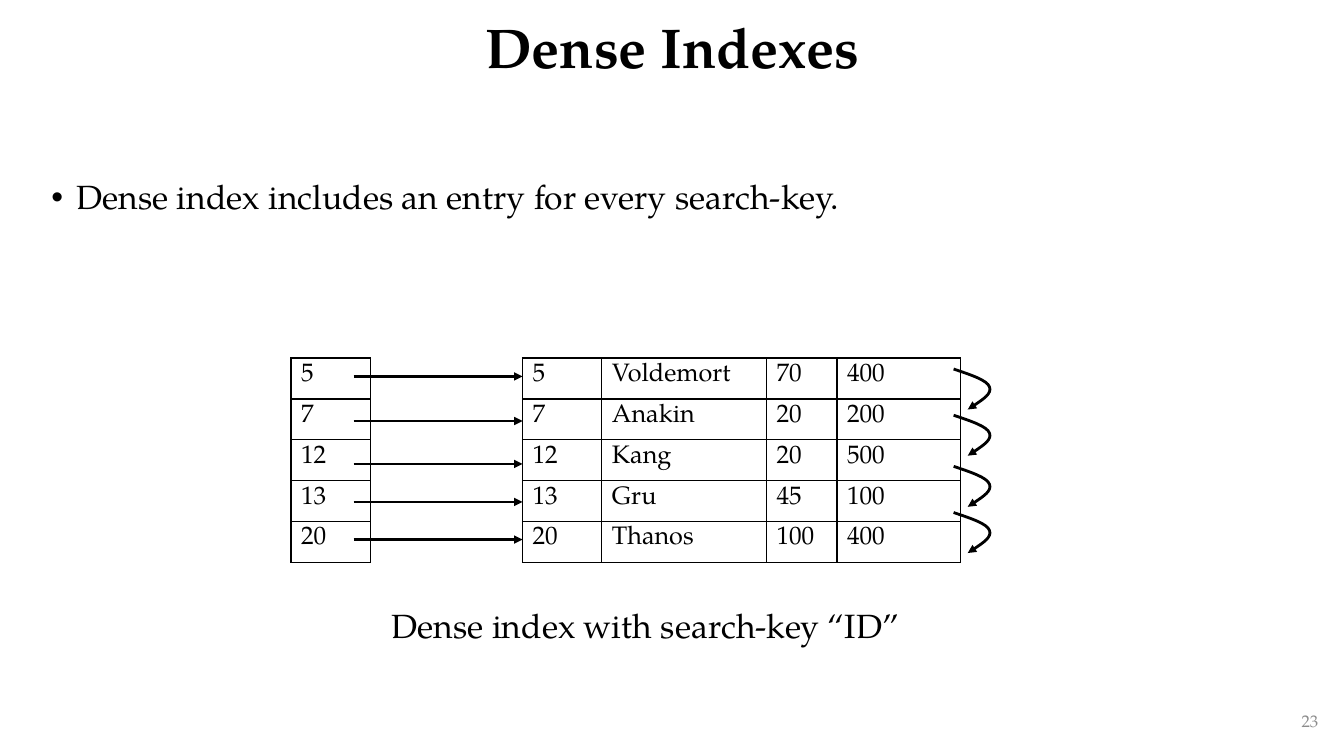
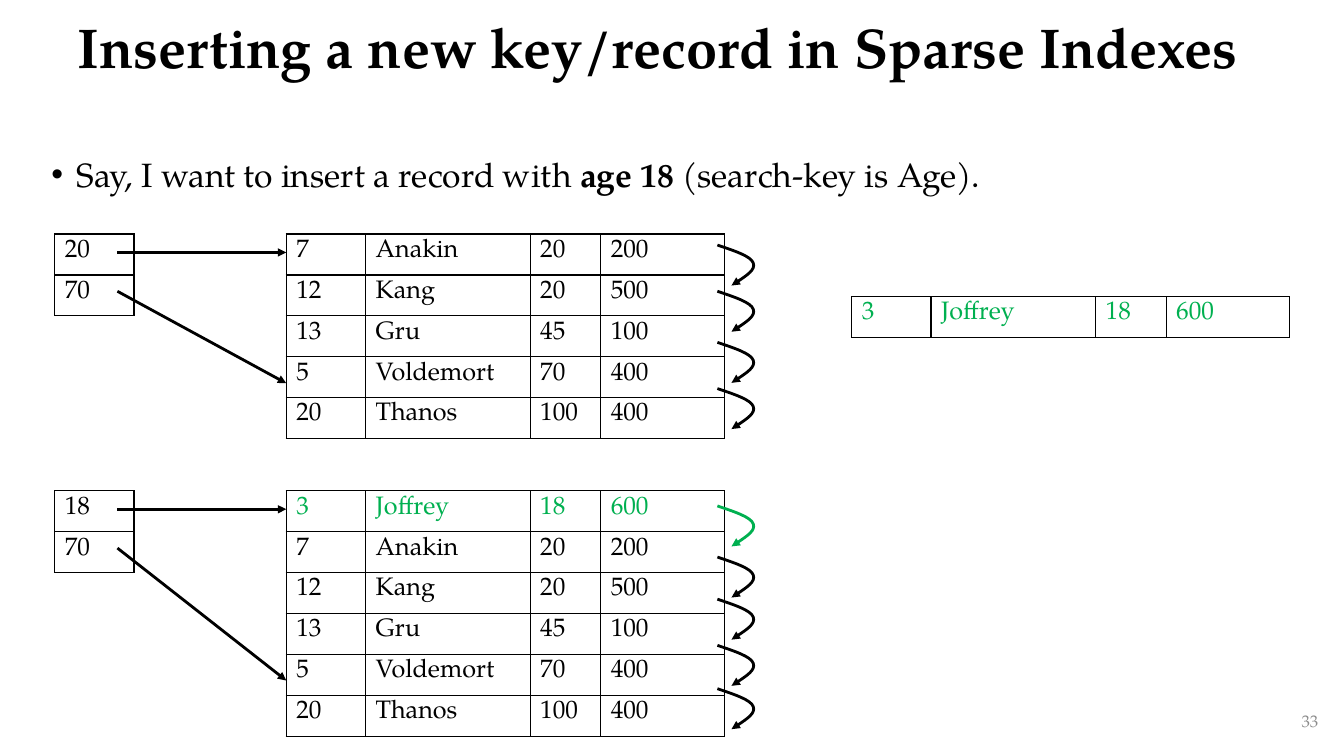
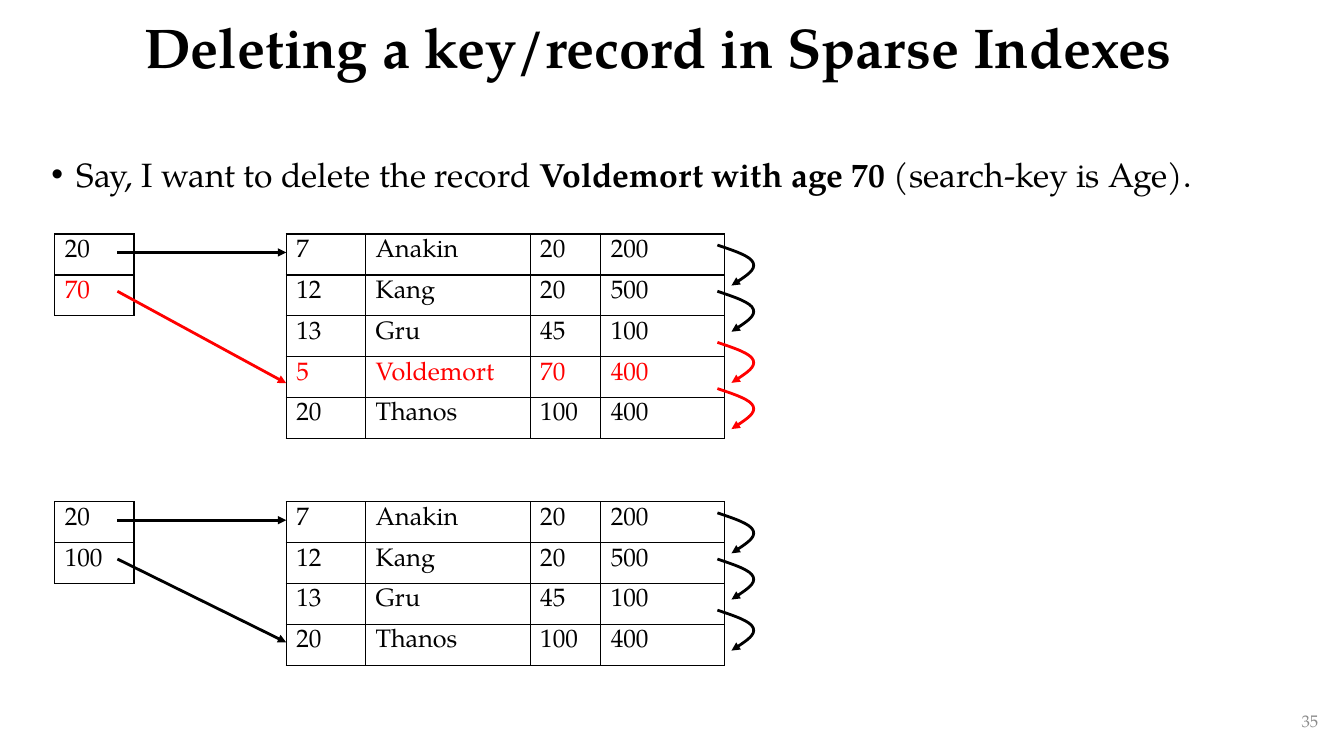
from lxml import etree
from pptx import Presentation
from pptx.dml.color import RGBColor
from pptx.enum.shapes import MSO_CONNECTOR
from pptx.enum.text import MSO_ANCHOR, PP_ALIGN
from pptx.oxml.ns import qn
from pptx.util import Inches, Pt

LEFT, MID, RIGHT, FULL = PP_ALIGN.LEFT, PP_ALIGN.CENTER, PP_ALIGN.RIGHT, PP_ALIGN.JUSTIFY
TOP, HALF = MSO_ANCHOR.TOP, MSO_ANCHOR.MIDDLE
LINE = MSO_CONNECTOR.STRAIGHT

WIDE, HIGH = Inches(13.333), Inches(7.5)
ROW = Pt(29.2)
COLORS = {"black": "000000", "gray": "8C8C8C", "green": "00B050", "red": "FF0000"}
FACE = "TeX Gyre Pagella"

# Font, paragraph and frame values of each kind of text
STYLES = {
    "title": {"font": {"size": Pt(40), "bold": True},
              "para": {"alignment": MID, "line_spacing": 0.9},
              "frame": {"vertical_anchor": HALF, "word_wrap": True}},
    "body": {"font": {"size": Pt(24)},
             "para": {"alignment": FULL, "line_spacing": 0.9, "space_before": Pt(10)},
             "frame": {"vertical_anchor": TOP, "word_wrap": True}},
    "note": {"font": {"size": Pt(24)},
             "para": {"alignment": LEFT},
             "frame": {"vertical_anchor": TOP, "word_wrap": False}},
    "page": {"font": {"size": Pt(12)},
             "para": {"alignment": RIGHT},
             "frame": {"vertical_anchor": HALF, "word_wrap": True}},
    "cell": {"font": {"size": Pt(18)},
             "para": {"alignment": LEFT},
             "frame": {"vertical_anchor": TOP}},
}

# Widths in percent of the slide; heights inside a table in rows
KEY = [5.9]
COLS = [5.9, 12.25, 5.25, 9.2]
GAP = 17.23
LINK = 4.67
HOOK = 32.08
# Two cubic curves, each as two handles and an end
BEND = [[(1.25, 0.14), (2.5, 0.27), (2.67, 0.44)],
        [(2.85, 0.6), (1.95, 0.8), (1.05, 0.99)]]
HOOKS = [0.27, 1.4, 2.65, 3.78]
EDGE = 4.07

ANAKIN = ("7", "Anakin", "20", "200")
KANG = ("12", "Kang", "20", "500")
GRU = ("13", "Gru", "45", "100")
VOLDEMORT = ("5", "Voldemort", "70", "400")
THANOS = ("20", "Thanos", "100", "400")
JOFFREY = ("3", "Joffrey", "18", "600")
BY_AGE = [ANAKIN, KANG, GRU, VOLDEMORT, THANOS]


def across(pct):
    return round(WIDE * pct / 100)


def down(pct):
    return round(HIGH * pct / 100)


def rgb(ink):
    return RGBColor.from_string(COLORS[ink])


def apply(item, values):
    for name, value in values.items():
        setattr(item, name, value)


def write(frame, runs, style, ink="black"):
    """Fill a frame or cell with one paragraph of (text, font values) runs."""
    look = STYLES[style]
    para = frame.paragraphs[0]
    apply(para, look["para"])
    for text, extra in runs:
        run = para.add_run()
        run.text = text
        apply(run.font, {"name": FACE, **look["font"], **extra})
        run.font.color.rgb = rgb(ink)
    return para


def label(slide, box, runs, style, ink="black"):
    x, y, w, h = box
    frame = slide.shapes.add_textbox(across(x), down(y), across(w), down(h)).text_frame
    apply(frame, STYLES[style]["frame"])
    return write(frame, runs, style, ink)


def bullet(slide, box, runs):
    props = label(slide, box, runs, "body")._p.get_or_add_pPr()
    props.set("marL", str(Inches(0.25)))
    props.set("indent", str(-Inches(0.25)))
    etree.SubElement(props, qn("a:buFont"), typeface="Arial")
    etree.SubElement(props, qn("a:buChar"), char="•")


def border(cell):
    props = cell._tc.get_or_add_tcPr()
    for side in ("a:lnL", "a:lnR", "a:lnT", "a:lnB"):
        edge = etree.SubElement(props, qn(side), w=str(Pt(1)))
        fill = etree.SubElement(edge, qn("a:solidFill"))
        etree.SubElement(fill, qn("a:srgbClr"), val=COLORS["black"])


def grid(slide, x, y, cols, rows, inks):
    """Draw a bordered table; inks maps a row number to its colour."""
    table = slide.shapes.add_table(len(rows), len(cols), across(x), down(y),
                                   across(sum(cols)), ROW * len(rows)).table
    table.first_row = table.horz_banding = False
    for col, width in zip(table.columns, cols):
        col.width = across(width)
    for r, row in enumerate(rows):
        table.rows[r].height = ROW
        for c, text in enumerate(row):
            cell = table.cell(r, c)
            cell.vertical_anchor = TOP
            border(cell)
            cell.fill.background()
            write(cell.text_frame, [(text, {})], "cell", inks.get(r, "black"))


def point(line, ink):
    """Colour a line and give it an arrowhead at its end."""
    line.width = Pt(2)
    line.fill.solid()
    line.fill.fore_color.rgb = rgb(ink)
    etree.SubElement(line._get_or_add_ln(), qn("a:tailEnd"), type="triangle")


def arrow(slide, x1, y1, x2, y2, ink):
    link = slide.shapes.add_connector(LINE, x1, y1, x2, y2)
    point(link.line, ink)
    etree.SubElement(link._element.spPr, qn("a:effectLst"))


def hook(slide, x, y, ink):
    """Draw a curved arrow: straight segments are turned into cubic curves."""
    bend = [[(across(dx), round(ROW * dy)) for dx, dy in part] for part in BEND]
    pen = slide.shapes.build_freeform(x, y)
    pen.add_line_segments([(x + part[-1][0], y + part[-1][1]) for part in bend],
                          close=False)
    shape = pen.convert_to_shape()
    for part, step in zip(bend, list(shape._element.iter(qn("a:lnTo")))):
        cubic = etree.Element(qn("a:cubicBezTo"))
        for dx, dy in part:
            etree.SubElement(cubic, qn("a:pt"), x=str(dx), y=str(dy))
        step.getparent().replace(step, cubic)
    shape.fill.background()
    point(shape.line, ink)
    shape.shadow.inherit = False


def index(slide, x, y, keys, rows, links, hooks, ink="black", marks=None):
    """Draw an index, its file and their arrows; marks lists parts drawn in ink."""
    inks = {part: dict.fromkeys(nums, ink) for part, nums in (marks or {}).items()}
    file = x + GAP
    grid(slide, file, y, COLS, rows, inks.get("rows", {}))
    for n, start in enumerate(hooks):
        hook(slide, across(file + HOOK), down(y) + round(ROW * start),
             inks.get("hooks", {}).get(n, "black"))
    grid(slide, x, y, KEY, [(key,) for key in keys], inks.get("keys", {}))
    for n, (start, end) in enumerate(links):
        arrow(slide, across(x + LINK), down(y) + round(ROW * start),
              across(file), down(y) + round(ROW * end),
              inks.get("links", {}).get(n, "black"))


def page(deck, title, number, box):
    slide = deck.slides.add_slide(deck.slide_layouts[6])
    label(slide, box, [(title, {})], "title")
    label(slide, (76.33, 92.67, 22.5, 5.33), [(number, {})], "page", "gray")
    return slide


def sparse(deck, title, number, runs):
    slide = page(deck, title, number, (EDGE, 0, 89.75, 13.2))
    bullet(slide, (3.08, 20.27, 96.9, 10.67), runs)
    return slide


def dense(deck):
    slide = page(deck, "Dense Indexes", "23", (6.88, 0, 86.25, 13.2))
    bullet(slide, (3.08, 23.2, 96.9, 64),
           [("Dense index includes an entry for every search-key. ", {})])
    rows = [VOLDEMORT, ANAKIN, KANG, GRU, THANOS]
    links = [(y, y) for y in (0.45, 1.54, 2.59, 3.52, 4.44)]
    index(slide, 21.65, 47.36, [row[0] for row in rows], rows, links, HOOKS)
    label(slide, (28.42, 79.33, 39.4, 6.67),
          [("Dense index with search-key “ID”", {})], "note")


def insert(deck):
    slide = sparse(deck, "Inserting a new key/record in Sparse Indexes", "33",
                   [("Say, I want to insert a record with ", {}),
                    ("age 18 ", {"bold": True}),
                    ("(search-key is Age). ", {})])
    grid(slide, 63.37, 39.24, COLS, [JOFFREY], {0: "green"})
    index(slide, EDGE, 30.96, ["20", "70"], BY_AGE,
          [(0.45, 0.45), (1.4, 3.65)], HOOKS)
    index(slide, EDGE, 64.93, ["18", "70"], [JOFFREY, *BY_AGE],
          [(0.45, 0.45), (1.4, 4.64)], [0.37, 1.62, 2.65, 3.78, 4.84],
          "green", {"rows": [0], "hooks": [0]})


def delete(deck):
    slide = sparse(deck, "Deleting a key/record in Sparse Indexes", "35",
                   [("Say, I want to delete the record ", {}),
                    ("Voldemort with age 70 ", {"bold": True}),
                    ("(search-key is Age). ", {})])
    index(slide, EDGE, 30.96, ["20", "70"], BY_AGE,
          [(0.45, 0.45), (1.4, 3.65)], HOOKS,
          "red", {"keys": [1], "rows": [3], "links": [1], "hooks": [2, 3]})
    index(slide, EDGE, 66.38, ["20", "100"], [ANAKIN, KANG, GRU, THANOS],
          [(0.45, 0.45), (1.4, 3.44)], HOOKS[:3])


def main():
    deck = Presentation()
    deck.slide_width, deck.slide_height = WIDE, HIGH
    for build in (dense, insert, delete):
        build(deck)
    deck.save("out.pptx")


if __name__ == "__main__":
    main()
